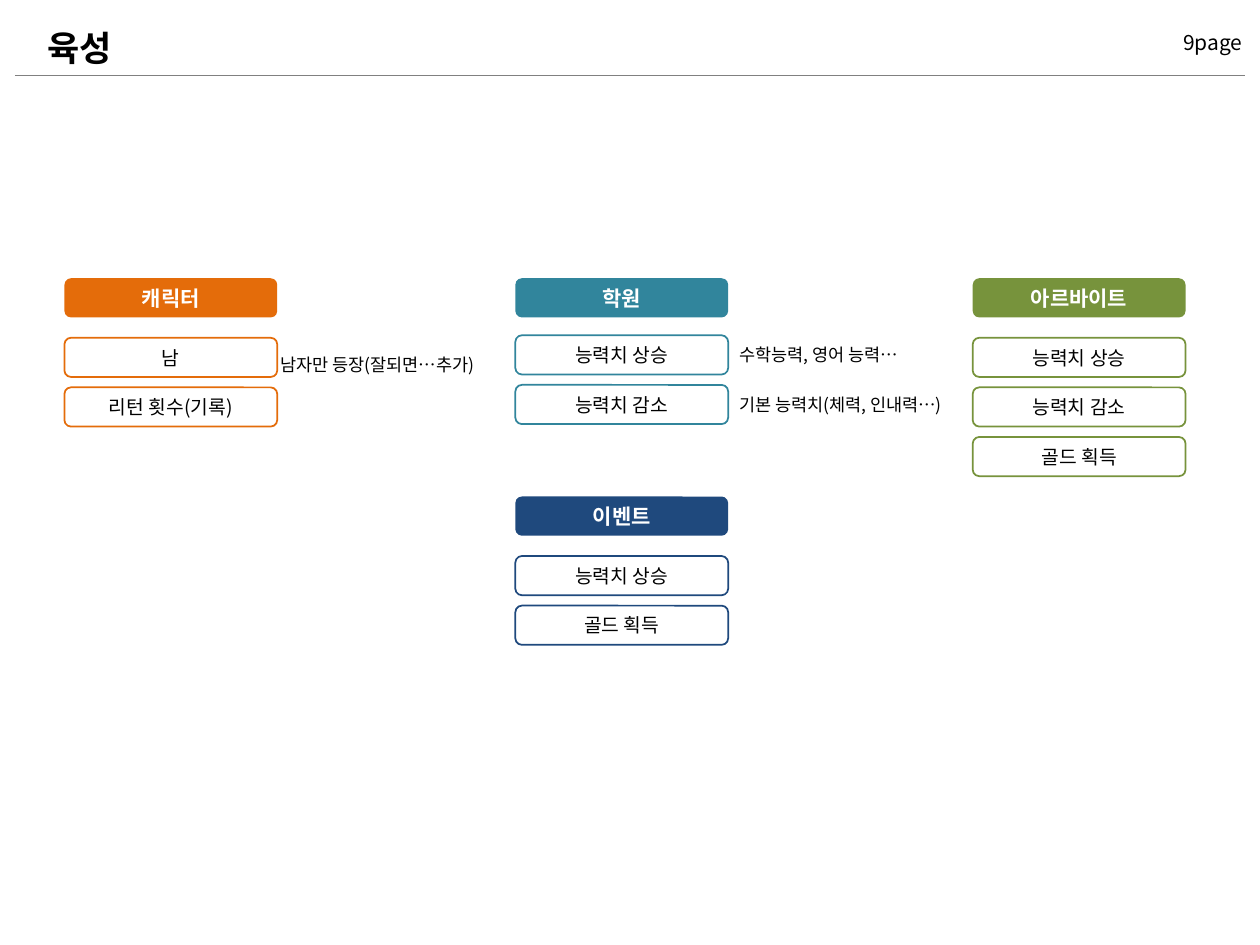
from dataclasses import dataclass

from lxml import etree
from pptx import Presentation
from pptx.dml.color import RGBColor
from pptx.enum.shapes import MSO_CONNECTOR, MSO_SHAPE
from pptx.enum.text import MSO_ANCHOR, MSO_AUTO_SIZE, PP_ALIGN
from pptx.oxml.ns import qn
from pptx.util import Cm, Pt

STRAIGHT = MSO_CONNECTOR.STRAIGHT
ROUNDED = MSO_SHAPE.ROUNDED_RECTANGLE
MIDDLE = MSO_ANCHOR.MIDDLE
GROW = MSO_AUTO_SIZE.SHAPE_TO_FIT_TEXT
CENTER = PP_ALIGN.CENTER


@dataclass(frozen=True)
class Theme:
    title_font: str = "Arial"
    body_font: str = "Noto Sans CJK KR"
    ink: str = "000000"
    paper: str = "FFFFFF"
    rule: str = "808080"
    orange: str = "E46C0A"
    teal: str = "31859C"
    green: str = "77933C"
    navy: str = "1F497D"
    title_size: int = 20
    heading_size: int = 12
    item_size: int = 11
    note_size: int = 10


class SlideBuilder:
    BOX_WIDTH, BOX_HEIGHT = 4.29, 0.79
    ITEM_PITCH = 1.0

    def __init__(self, slide, theme):
        self.slide = slide
        self.theme = theme

    def add_text(self, frame, text, size, color, bold=False, font=None):
        run = frame.paragraphs[0].add_run()
        run.text = text
        run.font.name = font or self.theme.body_font
        run.font.size = Pt(size)
        run.font.bold = bold
        run.font.color.rgb = RGBColor.from_string(color)
        # Hangul takes the East Asian typeface
        east_asian = etree.SubElement(run.font._element, qn("a:ea"))
        east_asian.set("typeface", self.theme.body_font)

    def rule(self, left, right, y):
        line = self.slide.shapes.add_connector(STRAIGHT, Cm(left), Cm(y), Cm(right), Cm(y))
        line.line.color.rgb = RGBColor.from_string(self.theme.rule)
        line.line.width = Pt(0.75)
        etree.SubElement(line._element.spPr, qn("a:effectLst"))

    def label(self, left, top, width, height, text, size, wrap=True, inset=None, **style):
        box = self.slide.shapes.add_textbox(Cm(left), Cm(top), Cm(width), Cm(height))
        frame = box.text_frame
        frame.word_wrap = wrap
        frame.auto_size = GROW
        if inset is not None:
            frame.margin_left = frame.margin_right = Cm(inset)
            frame.margin_top = frame.margin_bottom = Cm(inset)
        self.add_text(frame, text, size, self.theme.ink, **style)

    def note(self, left, top, text):
        self.label(left, top, 5.05, 0.43, text, self.theme.note_size, inset=0)

    def box(self, left, top, text, color, heading=False):
        shape = self.slide.shapes.add_shape(
            ROUNDED, Cm(left), Cm(top), Cm(self.BOX_WIDTH), Cm(self.BOX_HEIGHT))
        shape.shadow.inherit = False
        accent = RGBColor.from_string(color)
        theme = self.theme
        if heading:
            shape.fill.solid()
            shape.fill.fore_color.rgb = accent
            shape.line.fill.background()
            size, ink = theme.heading_size, theme.paper
        else:
            shape.fill.background()
            shape.line.color.rgb = accent
            shape.line.width = Pt(1)
            size, ink = theme.item_size, theme.ink
        frame = shape.text_frame
        frame.vertical_anchor = MIDDLE
        frame.paragraphs[0].alignment = CENTER
        self.add_text(frame, text, size, ink, bold=heading)

    def group(self, left, top, color, heading, items, offset=1.2):
        self.box(left, top, heading, color, heading=True)
        for row, item in enumerate(items):
            self.box(left, top + offset + row * self.ITEM_PITCH, item, color)


def main():
    presentation = Presentation()
    presentation.slide_width, presentation.slide_height = Cm(25.4), Cm(19.05)
    theme = Theme()
    page = SlideBuilder(presentation.slides.add_slide(presentation.slide_layouts[6]), theme)

    # Page header
    page.rule(0.3, 25.1, 1.52)
    page.label(0.71, 0.41, 1.93, 1.12, "육성", theme.title_size,
               wrap=False, bold=True, font=theme.title_font)
    page.label(23.6, 0.48, 3, 0.76, "9page", theme.heading_size)

    # Training categories
    left, center, right = 1.3, 10.39, 19.61
    upper, lower = 5.61, 10.01
    gain, loss, gold = "능력치 상승", "능력치 감소", "골드 획득"
    page.group(left, upper, theme.orange, "캐릭터", ["남", "리턴 횟수(기록)"])
    page.group(center, upper, theme.teal, "학원", [gain, loss], offset=1.15)
    page.group(right, upper, theme.green, "아르바이트", [gain, loss, gold])
    page.group(center, lower, theme.navy, "이벤트", [gain, gold])

    # Remarks beside the items
    page.note(5.66, 7.14, "남자만 등장(잘되면…추가)")
    page.note(14.91, 6.93, "수학능력, 영어 능력…")
    page.note(14.91, 7.95, "기본 능력치(체력, 인내력…)")

    presentation.save("out.pptx")


if __name__ == "__main__":
    main()
